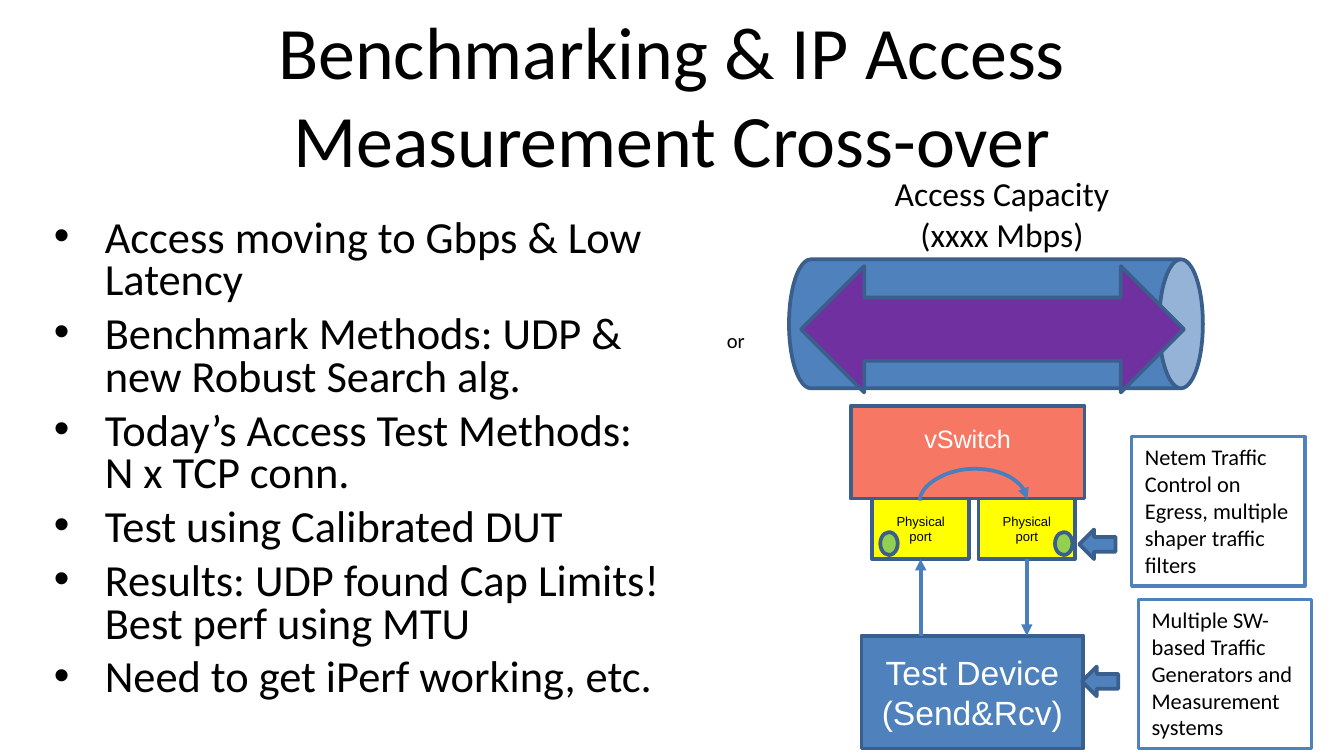
"""Build the slide on benchmarking and IP access measurement."""
import pptx
import pptx.util
import pptx.dml.color
import pptx.enum.shapes
import pptx.enum.text
import pptx.oxml.ns
import lxml.etree

Inches = pptx.util.Inches
Pt = pptx.util.Pt
RGBColor = pptx.dml.color.RGBColor
SHAPE = pptx.enum.shapes.MSO_SHAPE
CONNECTOR = pptx.enum.shapes.MSO_CONNECTOR
ALIGN = pptx.enum.text.PP_ALIGN
ANCHOR = pptx.enum.text.MSO_ANCHOR
AUTO = pptx.enum.text.MSO_AUTO_SIZE
qn = pptx.oxml.ns.qn

BLACK = RGBColor(0x00, 0x00, 0x00)
WHITE = RGBColor(0xFF, 0xFF, 0xFF)
BLUE = RGBColor(0x4F, 0x81, 0xBD)
DARK_BLUE = RGBColor(0x3A, 0x5F, 0x8C)
LINK_BLUE = RGBColor(0x4B, 0x7E, 0xBC)
CORAL = RGBColor(0xF0, 0x32, 0x14)
YELLOW = RGBColor(0xFF, 0xFF, 0x00)
GREEN = RGBColor(0x92, 0xD0, 0x50)
PURPLE = RGBColor(0x70, 0x30, 0xA0)

TITLE = "Benchmarking & IP Access Measurement Cross-over"
POINTS = [
    "Access moving to Gbps & Low Latency",
    "Benchmark Methods: UDP & new Robust Search alg.",
    "Today’s Access Test Methods: N x TCP conn.",
    "Test using Calibrated DUT",
    "Results: UDP found Cap Limits! Best perf using MTU",
    "Need to get iPerf working, etc.",
]
TEST_DEVICE = ["Test Device", "(Send&Rcv)"]
PORT = ["Physical", "port"]
CAPACITY = ["Access Capacity", "(xxxx Mbps)"]
NOTES = [
    (8.42, 3.25, "Netem Traffic Control on Egress, multiple shaper traffic filters"),
    (8.47, 4.46, "Multiple SW-based Traffic Generators and Measurement systems"),
]
PORT_LEFTS = [6.49, 7.28]
FILTER_LEFTS = [7.85, 6.55]
POINTERS = [(8.03, 3.94), (8.05, 4.96)]
PORT_TOP, PORT_WIDTH, PORT_HEIGHT = 3.71, 0.72, 0.45
DEVICE_TOP = 4.73
SLIDE_WIDTH = 10
SLIDE_HEIGHT = SLIDE_WIDTH * 9 / 16


def write(frame, lines, size, font="Calibri", color=BLACK, align=ALIGN.LEFT):
    for number, line in enumerate(lines):
        paragraph = frame.add_paragraph() if number else frame.paragraphs[0]
        paragraph.alignment = align
        run = paragraph.add_run()
        run.text = line
        run.font.size = Pt(size)
        run.font.name = font
        run.font.color.rgb = color
    return frame.paragraphs


def add_box(slide, kind, box, fill=None, line=DARK_BLUE, width=2):
    shape = slide.shapes.add_shape(kind, *map(Inches, box))
    shape.shadow.inherit = False
    if fill is None:
        shape.fill.background()
    else:
        shape.fill.solid()
        shape.fill.fore_color.rgb = fill
    shape.line.color.rgb = line
    shape.line.width = Pt(width)
    shape.text_frame.word_wrap = True
    shape.text_frame.vertical_anchor = ANCHOR.MIDDLE
    return shape


def add_text(slide, box, wrap=True):
    frame = slide.shapes.add_textbox(*map(Inches, box)).text_frame
    frame.word_wrap = wrap
    return frame


def set_margins(frame, size):
    frame.margin_left = frame.margin_right = Inches(size)
    frame.margin_top = frame.margin_bottom = Inches(size)


def add_arrow(slide, kind, start, end):
    link = slide.shapes.add_connector(kind, *map(Inches, start + end))
    link.line.color.rgb = LINK_BLUE
    link.line.width = Pt(2)
    outline = link._element.spPr.find(qn("a:ln"))
    lxml.etree.SubElement(outline, qn("a:tailEnd"), type="triangle")
    lxml.etree.SubElement(link._element.spPr, qn("a:effectLst"))
    return link


def add_title_and_points(slide):
    title = slide.shapes.title
    title.left, title.top, title.width, title.height = map(Inches, (0.5, 0.23, 9, 0.94))
    title.text_frame.auto_size = AUTO.NONE
    title.text_frame.vertical_anchor = ANCHOR.MIDDLE
    set_margins(title.text_frame, 0.05)
    write(title.text_frame, [TITLE], 39.6, align=ALIGN.CENTER)

    points = add_text(slide, (0.35, 1.58, 4.62, 4.01))
    set_margins(points, 0.05)
    for number, point in enumerate(write(points, POINTS, 23.8)):
        properties = point._p.get_or_add_pPr()
        properties.set("marL", str(Inches(0.38)))
        properties.set("indent", str(Inches(-0.38)))
        lxml.etree.SubElement(properties, qn("a:buFont"), typeface="Arial")
        lxml.etree.SubElement(properties, qn("a:buChar"), char="•")
        point.line_spacing = 0.8
        point.space_before = Pt(6 if number else 0)


def add_test_setup(slide):
    device = add_box(slide, SHAPE.RECTANGLE, (6.41, DEVICE_TOP, 1.65, 0.84), BLUE)
    write(device.text_frame, TEST_DEVICE, 18, "Arial", WHITE, ALIGN.CENTER)

    switch = add_box(slide, SHAPE.RECTANGLE, (6.33, 3.02, 1.74, 0.69), CORAL)
    tint = switch._element.spPr.find(qn("a:solidFill"))[0]
    lxml.etree.SubElement(tint, qn("a:alpha"), val="66000")
    switch.text_frame.vertical_anchor = ANCHOR.TOP
    switch.text_frame.margin_top = Inches(0.13)
    write(switch.text_frame, ["vSwitch"], 13.5, "Arial", WHITE, ALIGN.CENTER)

    for left in PORT_LEFTS:
        port = add_box(slide, SHAPE.RECTANGLE, (left, PORT_TOP, PORT_WIDTH, PORT_HEIGHT), YELLOW)
        write(port.text_frame, PORT, 7, "Arial", BLACK, ALIGN.CENTER)

    ingress, egress = [left + PORT_WIDTH / 2 for left in PORT_LEFTS]
    port_bottom = PORT_TOP + PORT_HEIGHT
    add_arrow(slide, CONNECTOR.STRAIGHT, (ingress, DEVICE_TOP), (ingress, port_bottom))
    add_arrow(slide, CONNECTOR.STRAIGHT, (egress, port_bottom), (egress, DEVICE_TOP))

    forwarding = add_arrow(slide, CONNECTOR.CURVE, (7.25, 4.12), (7.24, 3.32))
    outline = forwarding._element.spPr
    outline.find(qn("a:xfrm")).set("rot", str(90 * 60000))
    guides = outline.find(qn("a:prstGeom")).find(qn("a:avLst"))
    lxml.etree.SubElement(guides, qn("a:gd"), name="adj1", fmla="val 2400000")

    for left in FILTER_LEFTS:
        add_box(slide, SHAPE.OVAL, (left, 3.96, 0.13, 0.17), GREEN)
    for left, top, note in NOTES:
        box = add_box(slide, SHAPE.RECTANGLE, (left, top, 1.29, 1.11), line=BLUE, width=1.75)
        box.text_frame.vertical_anchor = ANCHOR.TOP
        write(box.text_frame, [note], 12)
    for left, top in POINTERS:
        add_box(slide, SHAPE.RIGHT_ARROW, (left, top, 0.27, 0.22), BLUE).rotation = 180


def add_access_pipe(slide):
    pipe = add_box(slide, SHAPE.CAN, (6.93, 0.87, 0.96, 3.08), BLUE)
    pipe.rotation = 90
    pipe.adjustments[0] = 0.34
    write(add_text(slide, (6.55, 1.24, 1.81, 0.71), wrap=False), CAPACITY, 18, align=ALIGN.CENTER)
    add_box(slide, SHAPE.LEFT_RIGHT_ARROW, (5.96, 1.98, 2.85, 0.94), PURPLE)
    write(add_text(slide, (5.31, 2.39, 0.36, 0.29)), ["or"], 11)


def main():
    deck = pptx.Presentation()
    deck.slide_width, deck.slide_height = Inches(SLIDE_WIDTH), Inches(SLIDE_HEIGHT)
    slide = deck.slides.add_slide(deck.slide_layouts[5])
    add_title_and_points(slide)
    add_test_setup(slide)
    add_access_pipe(slide)
    deck.save("out.pptx")


if __name__ == "__main__":
    main()
